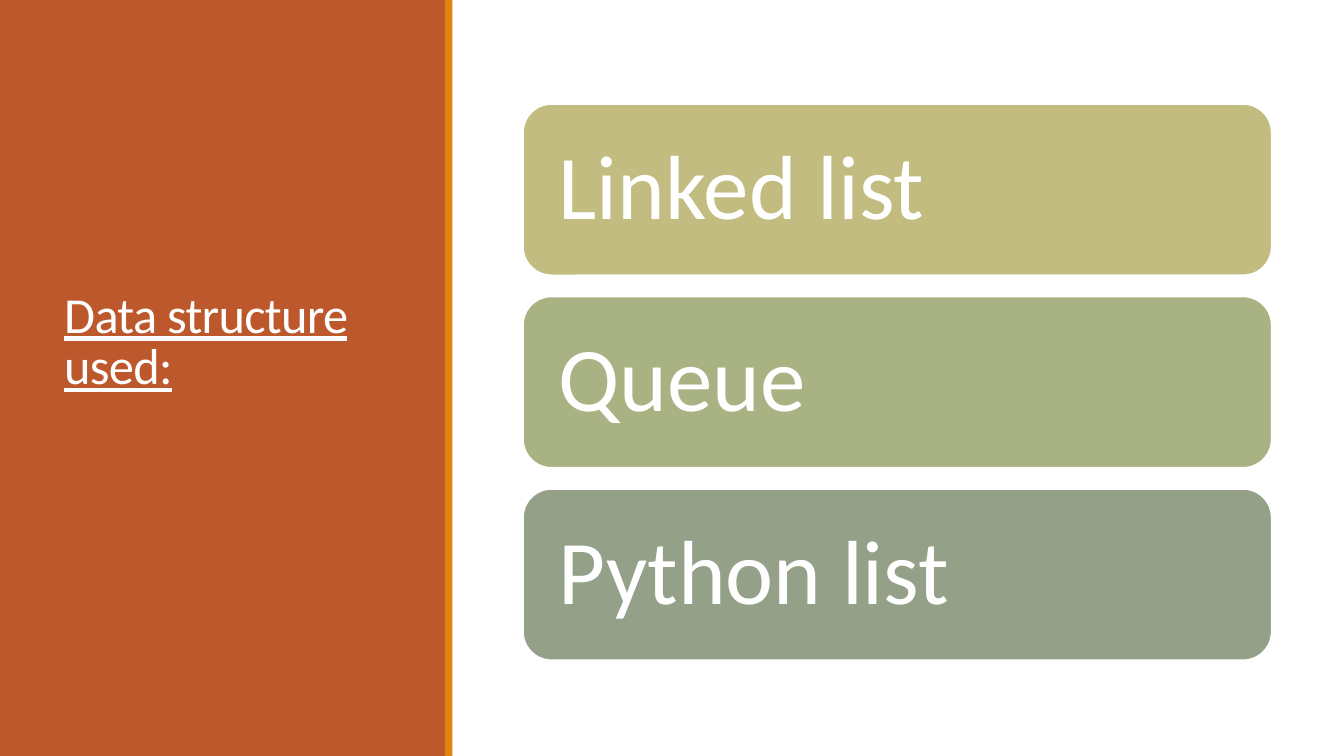
from dataclasses import dataclass

import pptx
import pptx.dml.color
import pptx.enum.shapes
import pptx.enum.text
import pptx.util

Cm = pptx.util.Cm
Pt = pptx.util.Pt
Shape = pptx.enum.shapes.MSO_SHAPE
Align = pptx.enum.text.PP_ALIGN
Anchor = pptx.enum.text.MSO_ANCHOR


@dataclass(frozen=True)
class Theme:
    face: str = "Calibri"
    white: str = "FFFFFF"
    panel: str = "BD582C"
    stripe: str = "E48312"
    cards: tuple = ("C2BC80", "A8B283", "94A088")
    title: float = 36
    label: float = 65
    edge: float = 1.25


theme = Theme()


def color(code):
    return pptx.dml.color.RGBColor.from_string(code)


def block(slide, kind, box, fill):
    """Draw a plain filled shape; box is left, top, width, height in cm."""
    shape = slide.shapes.add_shape(kind, *map(Cm, box))
    shape.shadow.inherit = False
    shape.fill.solid()
    shape.fill.fore_color.rgb = color(fill)
    shape.line.fill.background()
    return shape


def write(shape, text, size, inset, lead):
    """Put one left-aligned, vertically centred paragraph in a shape."""
    frame = shape.text_frame
    frame.word_wrap = True
    frame.vertical_anchor = Anchor.MIDDLE
    frame.margin_left = frame.margin_right = Cm(inset[0])
    frame.margin_top = frame.margin_bottom = Cm(inset[1])
    para = frame.paragraphs[0]
    para.text = text
    para.alignment = Align.LEFT
    para.line_spacing = lead
    para.font.name = theme.face
    para.font.size = Pt(size)
    para.font.color.rgb = color(theme.white)
    return para


def side(slide, box, text):
    """Coloured panel with the title and a stripe on its right edge."""
    left, top, width, height = box
    block(slide, Shape.RECTANGLE, box, theme.panel)
    block(slide, Shape.RECTANGLE, (left + width - 0.03, top, 0.18, height), theme.stripe)

    # Title
    area = (left + 1.37, top + 1.45, width - 2.69, height - 4.62)
    title = slide.shapes.add_textbox(*map(Cm, area))
    para = write(title, text, theme.title, (0.25, 0.13), 0.85)
    para.font.underline = True
    para.runs[0].font._element.set("spc", "-50")


def stack(slide, box, names, gap):
    """Equal rounded cards, one under the other."""
    left, top, width, height = box
    tall = (height - gap * (len(names) - 1)) / len(names)
    for i, (name, fill) in enumerate(zip(names, theme.cards)):
        area = (left, top + i * (tall + gap), width, tall)
        card = block(slide, Shape.ROUNDED_RECTANGLE, area, fill)
        card.line.color.rgb = color(theme.white)
        card.line.width = Pt(theme.edge)
        write(card, name, theme.label, (0.69, 0.69), 0.9)


def main():
    deck = pptx.Presentation()
    deck.slide_width, deck.slide_height = Cm(33.87), Cm(19.05)
    slide = deck.slides.add_slide(deck.slide_layouts[6])
    side(slide, (0, 0, 11.25, 19.05), "Data structure used:")
    stack(slide, (13.18, 2.62, 18.87, 14.02), ("Linked list", "Queue", "Python list"), 0.53)
    deck.save("out.pptx")


if __name__ == "__main__":
    main()
